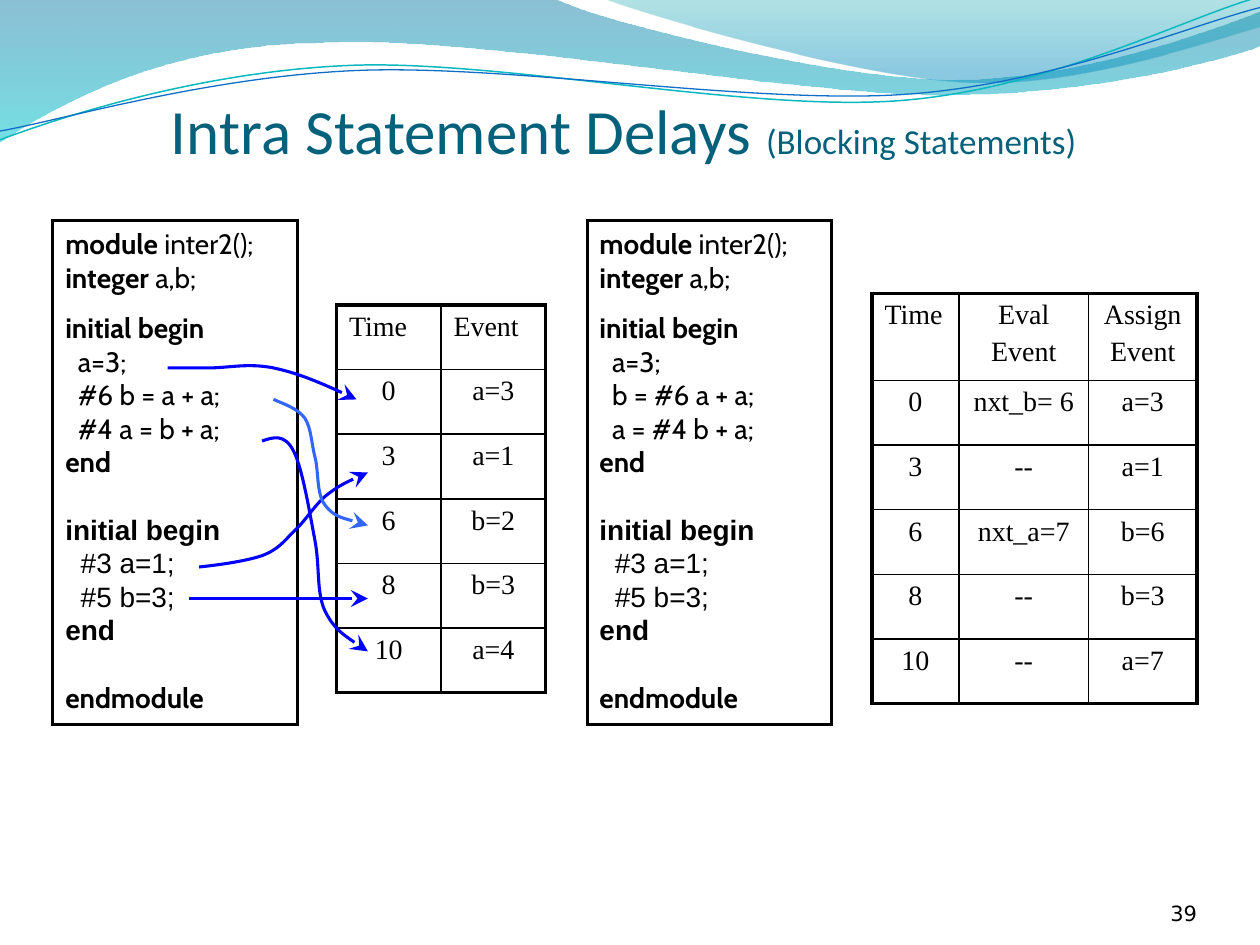
import pptx
import pptx.util
import pptx.dml.color
import pptx.enum.shapes
import pptx.enum.text
import pptx.oxml
import pptx.oxml.ns
from lxml import etree

Inches, Pt = pptx.util.Inches, pptx.util.Pt
RGBColor = pptx.dml.color.RGBColor
PP_ALIGN, MSO_ANCHOR = pptx.enum.text.PP_ALIGN, pptx.enum.text.MSO_ANCHOR
qn = pptx.oxml.ns.qn

BLACK = RGBColor(0, 0, 0)
TITLE_TEAL = RGBColor(0x04, 0x61, 0x7B)
WAVE_CYAN = RGBColor(0x0A, 0xB8, 0xBF)
WAVE_BLUE = RGBColor(0x0F, 0x6F, 0xC6)
DEEP_BLUE = RGBColor(0x00, 0x74, 0xA1)
AQUA = RGBColor(0x00, 0xC6, 0xCF)
TEAL = RGBColor(0x00, 0xA1, 0xA9)
SKY = RGBColor(0x00, 0x8B, 0xBF)
ARROW_BLUE = RGBColor(0x00, 0x00, 0xFF)
ARROW_LIGHT = RGBColor(0x33, 0x66, 0xFF)

deck = pptx.Presentation()
deck.slide_width, deck.slide_height = Inches(10), Inches(7.5)
page = deck.slides.add_slide(deck.slide_layouts[6])


def draw_path(start, segments, closed=False):
    """Outline in inches; a segment is (x, y) for a line or six numbers for a cubic curve."""
    points = [(Inches(segment[i]), Inches(segment[i + 1]))
              for segment in segments for i in range(0, len(segment), 2)]
    builder = page.shapes.build_freeform(Inches(start[0]), Inches(start[1]))
    builder.add_line_segments(points, close=closed)
    shape = builder.convert_to_shape()
    shape.shadow.inherit = False
    lines = list(shape.element.spPr.iter(qn("a:lnTo")))
    for segment in segments:
        used, lines = lines[:len(segment) // 2], lines[len(segment) // 2:]
        if len(used) == 3:
            curve = etree.Element(qn("a:cubicBezTo"))
            used[0].addprevious(curve)
            for line in used:
                curve.append(line[0])
                line.getparent().remove(line)
    return shape


def add_run(para, text, size, font, color=BLACK, bold=False):
    span = para.add_run()
    span.text = text
    span.font.size, span.font.name, span.font.bold = Pt(size), font, bold
    span.font.color.rgb = color


# Wave bands and lines across the top
bands = [
    ((0, -0.01), [(4.4, -0.01), (4.76, 0.17, 6.64, 0.63, 7.58, 0.63),
                  (8.53, 0.63, 9.58, 0.26, 10, 0.09), (10.01, 0.36),
                  (9.83, 0.44, 8.7, 0.76, 7.46, 0.75),
                  (6.22, 0.75, 3.82, 0.28, 2.57, 0.34),
                  (1.29, 0.35, 0.46, 0.83, -0.01, 1.13), (0, -0.01)],
     [(0, DEEP_BLUE, 45), (1, AQUA, 55)]),
    ((4.79, -0.01), [(5.09, 0.11, 6.82, 0.62, 7.69, 0.65),
                     (8.56, 0.69, 9.61, 0.32, 10, 0.21), (10, 0), (4.79, -0.01)],
     [(0, TEAL, 30), (0.8, SKY, 45)]),
]
for start, segments, stops in bands:
    band = draw_path(start, segments, closed=True)
    band.line.fill.background()
    band.fill.gradient()
    band.fill.gradient_angle = 270
    for stop, (position, color, opacity) in zip(band.fill.gradient_stops, stops):
        stop.position = position
        stop.color.rgb = color
    colors = band.element.spPr.iter(qn("a:srgbClr"))
    for color_element, (position, color, opacity) in zip(colors, stops):
        etree.SubElement(color_element, qn("a:alpha"), val=str(opacity * 1000))

waves = [
    ((0, 1.11), [(0.48, 0.93, 1.58, 0.57, 2.77, 0.52), (3.95, 0.47, 5.93, 0.89, 7.13, 0.8),
                 (8.33, 0.71, 9.38, 0.15, 9.98, -0.02)], WAVE_CYAN, 0.85),
    ((0, 1.04), [(0.47, 0.96, 1.64, 0.61, 2.83, 0.56), (4.03, 0.51, 5.97, 0.83, 7.17, 0.75),
                 (8.36, 0.67, 9.41, 0.21, 10, 0.06)], WAVE_BLUE, 0.75),
]
for start, segments, color, width in waves:
    wave = draw_path(start, segments)
    wave.fill.background()
    wave.line.color.rgb, wave.line.width = color, Pt(width)

# Title and page number
labels = [
    ((0.45, 0.08, 9, 1.25), 0.05, PP_ALIGN.CENTER,
     [("Intra Statement Delays ", 36, "Calibri", TITLE_TEAL),
      ("(Blocking Statements)", 20, "Calibri", TITLE_TEAL)]),
    ((8.67, 6.95, 0.83, 0.4), 0, PP_ALIGN.RIGHT, [("39", 12, "DejaVu Sans", BLACK)]),
]
for place, top_inset, alignment, spans in labels:
    frame = page.shapes.add_textbox(*map(Inches, place)).text_frame
    frame.word_wrap = True
    frame.vertical_anchor = MSO_ANCHOR.BOTTOM
    frame.margin_left = frame.margin_right = frame.margin_bottom = 0
    frame.margin_top = Inches(top_inset)
    frame.paragraphs[0].alignment = alignment
    for span in spans:
        add_run(frame.paragraphs[0], *span)

# Event tables
tables = [
    ((2.67, 2.42), [0.83, 0.83], 0.51, [
        ["Time", "Event"], ["0", "a=3"], ["3", "a=1"], ["6", "b=2"],
        ["8", "b=3"], ["10", "a=4"]]),
    ((6.92, 2.33), [0.69, 1.03, 0.86], 0.69, [
        ["Time", "Eval\nEvent", "Assign\nEvent"], ["0", "nxt_b= 6", "a=3"],
        ["3", "--", "a=1"], ["6", "nxt_a=7", "b=6"], ["8", "--", "b=3"],
        ["10", "--", "a=7"]]),
]
ROW_HEIGHT = 3.08 / 6
for (left, top), widths, header_height, rows in tables:
    heights = [max(header_height, ROW_HEIGHT)] + [ROW_HEIGHT] * 5
    table = page.shapes.add_table(len(rows), len(widths), Inches(left), Inches(top),
                                  Inches(sum(widths)), Inches(sum(heights))).table
    table.first_row = table.horz_banding = False
    for column, width in zip(table.columns, widths):
        column.width = Inches(width)
    for r, texts in enumerate(rows):
        table.rows[r].height = Inches(heights[r])
        for c, text in enumerate(texts):
            cell = table.cell(r, c)
            outer_sides = {"L": c == 0, "R": c == len(widths) - 1,
                           "T": r == 0, "B": r == len(rows) - 1}
            properties = cell._tc.get_or_add_tcPr()
            for side, outer in outer_sides.items():
                border = etree.SubElement(properties, qn("a:ln" + side),
                                          w=str(Pt(2.25 if outer else 1)))
                fill = etree.SubElement(border, qn("a:solidFill"))
                etree.SubElement(fill, qn("a:srgbClr"), val=str(BLACK))
            cell.fill.background()
            for i, line in enumerate(text.split("\n")):
                para = cell.text_frame.paragraphs[0] if i == 0 else cell.text_frame.add_paragraph()
                para.space_before = Pt(3.2 if i else 0)
                left_aligned = r == 0 and "\n" not in text
                para.alignment = PP_ALIGN.LEFT if left_aligned else PP_ALIGN.CENTER
                add_run(para, line, 16, "Times New Roman")

# Code listings: (bold part, plain part, font, space before in points)
listings = [(0.42, "  #6 b = a + a;", "  #4 a = b + a;"),
            (4.66, "  b = #6 a + a;", "  a = #4 b + a;")]
for left, first_delay, second_delay in listings:
    box = page.shapes.add_shape(pptx.enum.shapes.MSO_SHAPE.RECTANGLE,
                                Inches(left), Inches(1.75), Inches(1.94), Inches(4))
    box.shadow.inherit = False
    box.fill.background()
    box.line.color.rgb, box.line.width = BLACK, Pt(1.75)
    etree.SubElement(box.element.spPr.find(qn("a:ln")), qn("a:miter"), lim="800000")
    frame = box.text_frame
    frame.word_wrap = True
    frame.vertical_anchor = MSO_ANCHOR.TOP
    code = [("module", " inter2();", "Cabin", 0), ("integer", " a,b;", "Cabin", 0),
            ("initial begin", "", "Cabin", 9.6), ("", "  a=3;", "Cabin", 0),
            ("", first_delay, "Cabin", 0), ("", second_delay, "Cabin", 0),
            ("end", "", "Cabin", 0), ("initial begin", "", "Arial", 19.2),
            ("", "  #3 a=1;", "Arial", 0), ("", "  #5 b=3;", "Arial", 0),
            ("end", "", "Arial", 0), ("endmodule", "", "Cabin", 19.2)]
    for i, (keyword, rest, font, gap) in enumerate(code):
        para = frame.paragraphs[0] if i == 0 else frame.add_paragraph()
        para.alignment = PP_ALIGN.LEFT
        para.space_before = Pt(gap)
        para.line_spacing = Pt(19.2)
        for text, bold in ((keyword, True), (rest, False)):
            if text:
                add_run(para, text, 16, font, bold=bold)

# Arrows from statements to their events
curves = [
    ((1.33, 2.92), [(1.43, 2.92, 1.53, 2.92, 1.67, 2.92), (1.81, 2.92, 1.97, 2.88, 2.17, 2.92),
                    (2.36, 2.96, 2.6, 3.06, 2.83, 3.17)], ARROW_BLUE),
    ((1.58, 4.5), [(1.77, 4.48, 1.96, 4.45, 2.08, 4.41), (2.21, 4.36, 2.25, 4.3, 2.33, 4.22),
                   (2.42, 4.14, 2.49, 4.02, 2.58, 3.94),
                   (2.68, 3.86, 2.8, 3.8, 2.92, 3.75)], ARROW_BLUE),
    ((2.17, 3.17), [(2.26, 3.21, 2.36, 3.24, 2.42, 3.32), (2.47, 3.4, 2.47, 3.51, 2.5, 3.63),
                    (2.53, 3.74, 2.51, 3.92, 2.58, 4.01),
                    (2.65, 4.1, 2.78, 4.13, 2.92, 4.17)], ARROW_LIGHT),
    ((2.08, 3.5), [(2.17, 3.47, 2.26, 3.44, 2.33, 3.58), (2.4, 3.71, 2.46, 4.08, 2.5, 4.29),
                   (2.54, 4.5, 2.51, 4.7, 2.58, 4.85),
                   (2.65, 4.99, 2.78, 5.08, 2.92, 5.17)], ARROW_BLUE),
]
arrows = []
for start, segments, color in curves:
    arrow = draw_path(start, segments)
    arrow.fill.background()
    arrows.append((arrow, color))
straight = page.shapes.add_connector(pptx.enum.shapes.MSO_CONNECTOR.STRAIGHT,
                                     Inches(1.5), Inches(4.75), Inches(2.92), Inches(4.75))
arrows.append((straight, ARROW_BLUE))
for arrow, color in arrows:
    arrow.line.color.rgb, arrow.line.width = color, Pt(1.75)
    outline = arrow.element.spPr.find(qn("a:ln"))
    etree.SubElement(outline, qn("a:tailEnd"), type="stealth", w="lg", len="lg")
etree.SubElement(straight.element.spPr, qn("a:effectLst"))

deck.save("out.pptx")
